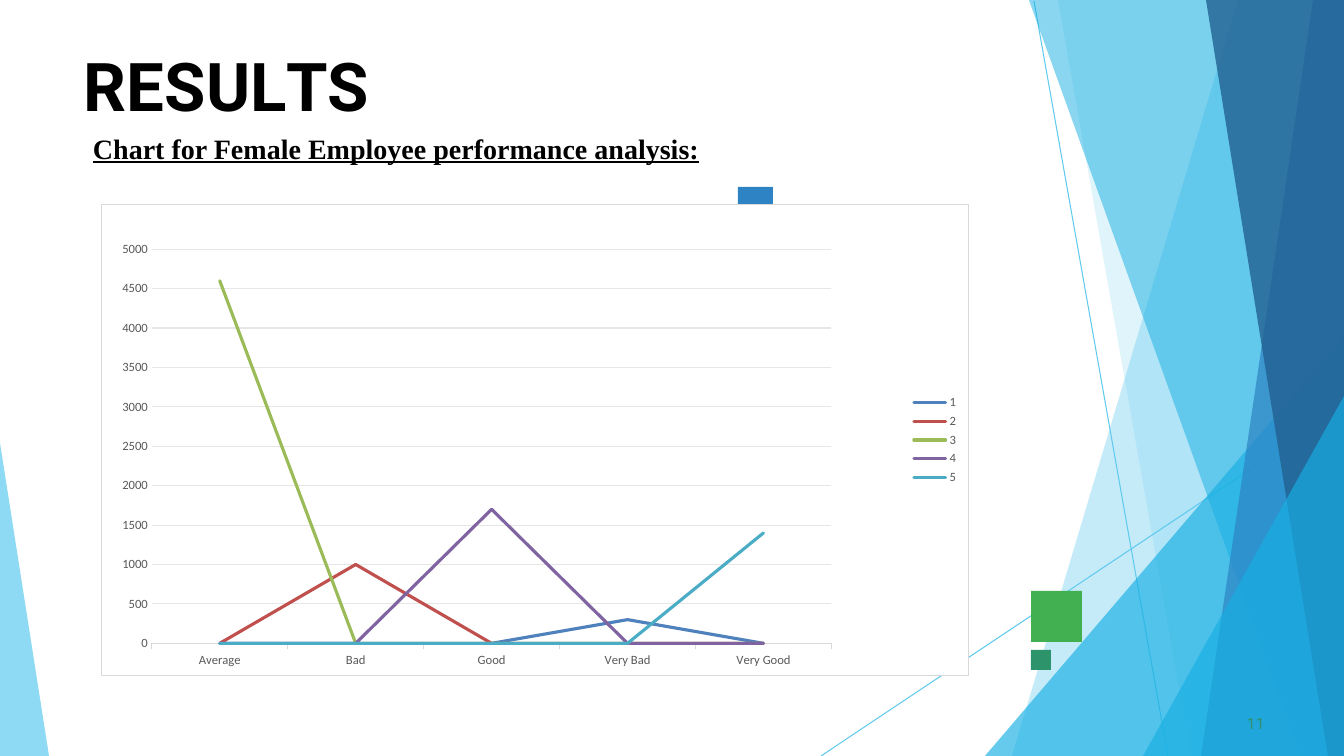
"""Build the results slide with a line chart of female employee performance."""
import lxml.etree
import pptx
import pptx.chart.data
import pptx.dml.color
import pptx.enum.chart
import pptx.enum.shapes
import pptx.enum.text
import pptx.oxml
import pptx.oxml.ns
import pptx.util

WIDTH, HEIGHT = 1344, 756
EMU_PER_PX = 914400 / 100.8
COLORS = {
    "sky": "5FCAEE", "cyan": "17AFE3", "blue": "2D83C3", "navy": "226192",
    "green": "42AF51", "teal": "2D936B", "black": "000000", "white": "FFFFFF",
    "label": "595959", "border": "D9D9D9", "grid": "E6E6E6",
    "1": "4F81BD", "2": "C0504D", "3": "9BBB59", "4": "8064A2", "5": "4BACC6",
}
RATINGS = ["Average", "Bad", "Good", "Very Bad", "Very Good"]
SCORES = {
    "1": [0, 0, 0, 300, 0],
    "2": [0, 1000, 0, 0, 0],
    "3": [4600, 0, 0, 0, 0],
    "4": [0, 0, 1700, 0, 0],
    "5": [0, 0, 0, 0, 1400],
}
RAYS = [(1034, 1, 1168, HEIGHT), (WIDTH, 407, 821, HEIGHT)]
RIGHT_FACETS = [
    ([(1238, 0), (1012, HEIGHT)], "sky", 36),
    ([(1058, 0), (1191, HEIGHT)], "sky", 20),
    ([(WIDTH, 336), (985, HEIGHT)], "cyan", 66),
    ([(1029, 0), (1301, HEIGHT)], "cyan", 50),
    ([(1313, 0), (1201, HEIGHT)], "blue", 70),
    ([(1206, 0), (1328, HEIGHT)], "navy", 80),
    ([(WIDTH, 396), (1143, HEIGHT)], "cyan", 66),
]
SQUARES = [
    (1031, 591, 51, 51, "green"),
    (738, 187, 35, 35, "blue"),
    (1031, 650, 20, 20, "teal"),
]
TITLE = [("R", 0), ("E", -0.4), ("S", 0.1), ("U", -0.3), ("L", -4), ("TS", 0)]


def px(length):
    return pptx.util.Emu(round(length * EMU_PER_PX))


def rgb(color):
    return pptx.dml.color.RGBColor.from_string(COLORS[color])


def style_font(font, size, color, face):
    font.size = pptx.util.Pt(size)
    font.name = face
    font.color.rgb = rgb(color)


def style_line(line, color, width=0.75):
    line.color.rgb = rgb(color)
    line.width = pptx.util.Pt(width)


def write(paragraph, text, *, size, face, color="black", bold=False,
          underline=False, spacing=0):
    run = paragraph.add_run()
    run.text = text
    style_font(run.font, size, color, face)
    run.font.bold = bold
    run.font.underline = underline
    if spacing:
        run.font._element.set("spc", str(round(spacing * 100)))


class SlideBuilder:
    def __init__(self, presentation):
        self.slide = presentation.slides.add_slide(presentation.slide_layouts[6])
        self.shapes = self.slide.shapes
        self.slide.background.fill.solid()
        self.slide.background.fill.fore_color.rgb = rgb("white")

    def paint(self, shape, color, opacity=100):
        shape.shadow.inherit = False
        shape.fill.solid()
        shape.fill.fore_color.rgb = rgb(color)
        shape.line.fill.background()
        if opacity < 100:
            tint = next(shape._element.spPr.iter(pptx.oxml.ns.qn("a:srgbClr")))
            alpha = lxml.etree.SubElement(tint, pptx.oxml.ns.qn("a:alpha"))
            alpha.set("val", str(opacity * 1000))

    def facet(self, corners, color, opacity):
        outline = self.shapes.build_freeform(*corners[0], scale=EMU_PER_PX)
        outline.add_line_segments(corners[1:], close=True)
        self.paint(outline.convert_to_shape(), color, opacity)

    def square(self, left, top, width, height, color):
        block = self.shapes.add_shape(
            pptx.enum.shapes.MSO_SHAPE.RECTANGLE,
            px(left), px(top), px(width), px(height))
        self.paint(block, color)

    def ray(self, *ends):
        ray = self.shapes.add_connector(
            pptx.enum.shapes.MSO_CONNECTOR.STRAIGHT, *map(px, ends))
        style_line(ray.line, "sky")
        lxml.etree.SubElement(ray._element.spPr, pptx.oxml.ns.qn("a:effectLst"))

    def text(self, left, top, width, height, runs, insets, before=0, **style):
        frame = self.shapes.add_textbox(
            px(left), px(top), px(width), px(height)).text_frame
        frame.word_wrap = True
        frame.vertical_anchor = pptx.enum.text.MSO_ANCHOR.TOP
        (frame.margin_left, frame.margin_top,
         frame.margin_right, frame.margin_bottom) = map(px, insets)
        paragraph = frame.paragraphs[0]
        paragraph.space_before = pptx.util.Pt(before)
        for words, spacing in runs:
            write(paragraph, words, spacing=spacing, **style)

    def line_chart(self, left, top, width, height, categories, series, plot_area):
        data = pptx.chart.data.CategoryChartData()
        data.categories = categories
        for name, values in series.items():
            data.add_series(name, values)
        chart = self.shapes.add_chart(
            pptx.enum.chart.XL_CHART_TYPE.LINE,
            px(left), px(top), px(width), px(height), data).chart
        chart.has_title = False
        style_font(chart.font, 10, "black", "Calibri")
        plot = chart.plots[0]
        plot.vary_by_categories = False
        for trace in plot.series:
            trace.smooth = False
            trace.marker.style = pptx.enum.chart.XL_MARKER_STYLE.NONE
            style_line(trace.format.line, trace.name, 2.25)
            stroke = next(trace._element.iter(pptx.oxml.ns.qn("a:ln")))
            stroke.set("cap", "rnd")
            lxml.etree.SubElement(stroke, pptx.oxml.ns.qn("a:round"))

        ticks = pptx.enum.chart.XL_TICK_MARK
        ratings, scores = chart.category_axis, chart.value_axis
        ratings.major_tick_mark = ticks.OUTSIDE
        style_line(ratings.format.line, "border")
        scores.major_tick_mark = ticks.NONE
        scores.minimum_scale, scores.maximum_scale = 0, 5000
        scores.major_unit = 500
        scores.format.line.fill.background()
        scores.has_major_gridlines = True
        style_line(scores.major_gridlines.format.line, "grid")
        chart.has_legend = True
        chart.legend.position = pptx.enum.chart.XL_LEGEND_POSITION.RIGHT
        chart.legend.include_in_layout = False
        for font in (ratings.tick_labels.font, scores.tick_labels.font,
                     chart.legend.font):
            style_font(font, 9, "label", "Calibri")
        self.frame_chart(chart, plot_area)

    def frame_chart(self, chart, plot_area):
        space = chart._chartSpace
        area = space.chart.plotArea
        for old in area.findall(pptx.oxml.ns.qn("c:layout")):
            area.remove(old)
        sizes = "".join(f'<c:{key} val="{share}"/>'
                        for key, share in zip("xywh", plot_area))
        area.insert(0, pptx.oxml.parse_xml(
            f'<c:layout {pptx.oxml.ns.nsdecls("c")}><c:manualLayout>'
            '<c:layoutTarget val="inner"/><c:xMode val="edge"/>'
            f'<c:yMode val="edge"/>{sizes}</c:manualLayout></c:layout>'))
        space.chart.addnext(pptx.oxml.parse_xml(
            f'<c:spPr {pptx.oxml.ns.nsdecls("c", "a")}><a:solidFill>'
            f'<a:srgbClr val="{COLORS["white"]}"/></a:solidFill>'
            f'<a:ln w="9525"><a:solidFill><a:srgbClr val="{COLORS["border"]}"/>'
            '</a:solidFill></a:ln></c:spPr>'))


def main():
    presentation = pptx.Presentation()
    presentation.slide_width, presentation.slide_height = px(WIDTH), px(HEIGHT)
    results = SlideBuilder(presentation)
    for ray in RAYS:
        results.ray(*ray)
    for edge, color, opacity in RIGHT_FACETS:
        top_corner = (WIDTH, edge[0][1])
        corners = [*dict.fromkeys([top_corner, *edge, (WIDTH, HEIGHT)])]
        results.facet(corners, color, opacity)
    results.facet([(0, 443), (0, HEIGHT), (49, HEIGHT)], "sky", 70)
    for square in SQUARES:
        results.square(*square)
    results.text(83, 43, 1177, 84, TITLE, (1, 1, 0, 0), before=1.1,
                 size=48, face="Roboto", bold=True)
    results.text(1243, 713, 25, 21, [("11", 0.1)], (4, 1, 0, 0), before=0.6,
                 size=11, face="Roboto", color="teal")
    results.text(83, 126, 655, 44,
                 [("Chart for Female Employee performance analysis:", 0)],
                 (10, 5, 10, 5), size=20, face="Times New Roman",
                 bold=True, underline=True)
    results.line_chart(101, 204, 868, 472, RATINGS, SCORES,
                       (0.058, 0.095, 0.784, 0.837))
    presentation.save("out.pptx")


if __name__ == "__main__":
    main()
